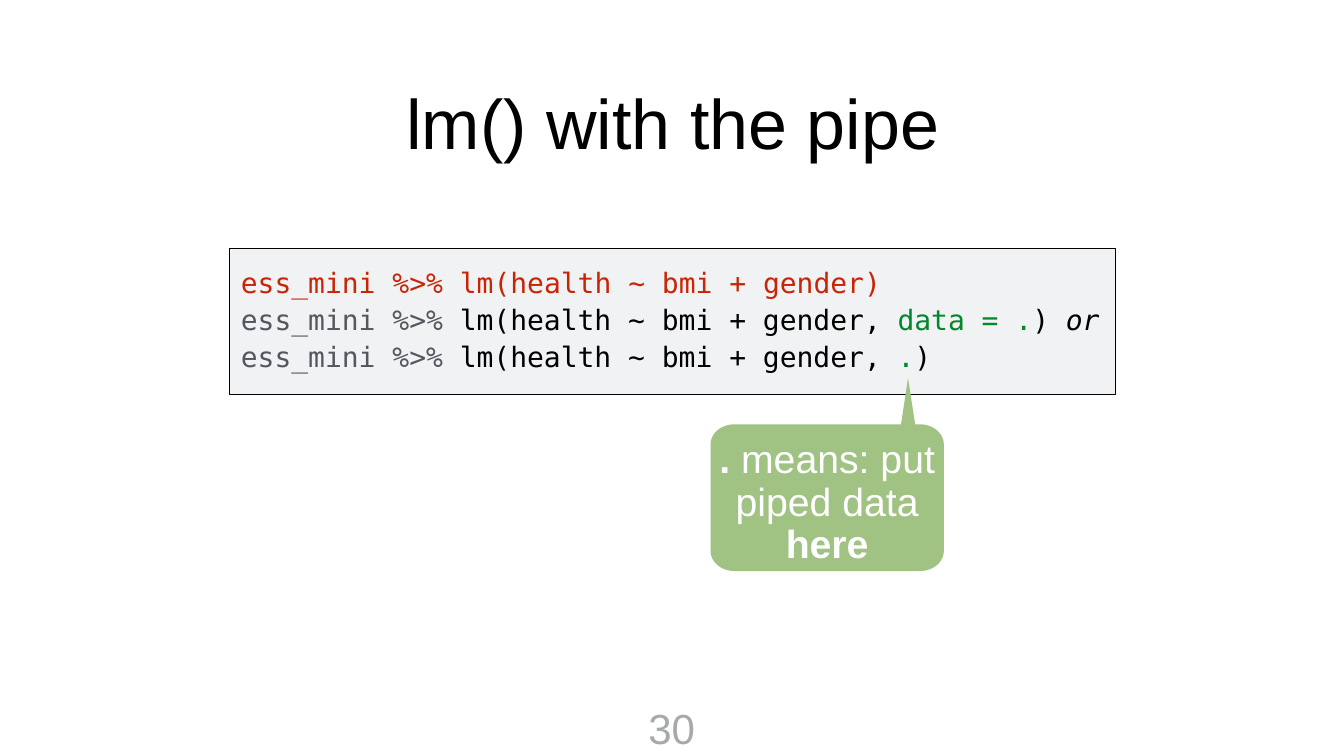
"""Build the slide that shows lm() used with the pipe."""
from dataclasses import dataclass
from math import cos, pi, sin

from pptx import Presentation
from pptx.dml.color import RGBColor
from pptx.enum.shapes import MSO_SHAPE
from pptx.enum.text import MSO_ANCHOR, PP_ALIGN
from pptx.util import Inches, Pt

LEFT, CENTER = PP_ALIGN.LEFT, PP_ALIGN.CENTER
TOP, MIDDLE, BOTTOM = MSO_ANCHOR.TOP, MSO_ANCHOR.MIDDLE, MSO_ANCHOR.BOTTOM
RECTANGLE = MSO_SHAPE.RECTANGLE
COLORS = {
    "black": "000000", "white": "FFFFFF", "panel": "F0F2F4", "wrong": "C82506",
    "piped": "53585F", "argument": "00882B", "callout": "A0C283", "number": "A6AAA9",
}


@dataclass(frozen=True)
class Box:
    left: float
    top: float
    width: float
    height: float

    def lengths(self) -> list:
        return [Inches(value) for value in (self.left, self.top, self.width, self.height)]


@dataclass(frozen=True)
class Span:
    text: str
    color: str = "black"
    bold: bool = False
    italic: bool = False


PIPE = Span("ess_mini %>% ", "piped")
MODEL = Span("lm(health ~ bmi + gender, ")
CODE_LINES = [
    [Span("ess_mini %>% lm(health ~ bmi + gender)", "wrong")],
    [PIPE, MODEL, Span("data = .", "argument"), Span(") "), Span("or", italic=True)],
    [PIPE, MODEL, Span(".", "argument"), Span(")")],
]
CALLOUT_TEXT = [[
    Span(". ", "white", bold=True),
    Span("means: put piped data", "white"),
    Span(" here", "white", bold=True),
]]


def rgb(name: str) -> RGBColor:
    return RGBColor.from_string(COLORS[name])


def write_text(shape, lines: list[list[Span]], *, size: float, font: str = "Arial",
               align=CENTER, anchor=TOP, margin: float = 0.08, spacing: float = 1.0,
               gap: float = 0, wrap: bool = True) -> None:
    frame = shape.text_frame
    frame.word_wrap = wrap
    frame.vertical_anchor = anchor
    frame.margin_left = frame.margin_right = Inches(margin)
    frame.margin_top = frame.margin_bottom = Inches(margin)
    for index, spans in enumerate(lines):
        paragraph = frame.add_paragraph() if index else frame.paragraphs[0]
        paragraph.alignment = align
        paragraph.line_spacing = spacing
        if index and gap:
            paragraph.space_before = Pt(gap)
        for span in spans:
            run = paragraph.add_run()
            run.text = span.text
            run.font.name = font
            run.font.size = Pt(size)
            run.font.bold = span.bold
            run.font.italic = span.italic
            run.font.color.rgb = rgb(span.color)


def add_text(slide, box: Box, lines: list[list[Span]], **text_format) -> None:
    write_text(slide.shapes.add_textbox(*box.lengths()), lines, **text_format)


def add_panel(slide, box: Box) -> None:
    shape = slide.shapes.add_shape(RECTANGLE, *box.lengths())
    shape.shadow.inherit = False
    shape.fill.solid()
    shape.fill.fore_color.rgb = rgb("panel")
    shape.line.color.rgb = rgb("black")
    shape.line.width = Pt(1)


def add_callout(slide, body: Box, tip: tuple[float, float], base: tuple[float, float],
                radii: tuple[float, float], steps: int = 12):
    radius_x, radius_y = radii
    left, right = body.left + radius_x, body.left + body.width - radius_x
    top, bottom = body.top + radius_y, body.top + body.height - radius_y
    corners = [(left, top), (left, bottom), (right, bottom), (right, top)]
    points = [(base[0], body.top)]
    for corner, (center_x, center_y) in enumerate(corners):
        for step in range(steps + 1):
            angle = pi / 2 * (corner + 1 + step / steps)
            points.append((center_x + radius_x * cos(angle), center_y - radius_y * sin(angle)))
    points.append((base[1], body.top))
    builder = slide.shapes.build_freeform(Inches(tip[0]), Inches(tip[1]))
    builder.add_line_segments([(Inches(x), Inches(y)) for x, y in points], close=True)
    shape = builder.convert_to_shape()
    shape.shadow.inherit = False
    shape.fill.solid()
    shape.fill.fore_color.rgb = rgb("callout")
    shape.line.fill.background()
    return shape


def main() -> None:
    presentation = Presentation()
    presentation.slide_width, presentation.slide_height = Inches(26.67), Inches(15)
    slide = presentation.slides.add_slide(presentation.slide_layouts[6])
    add_text(slide, Box(4.4, 1.1, 17.9, 2.62), [[Span("lm() with the pipe")]],
             size=100, anchor=MIDDLE, margin=0.06)
    add_panel(slide, Box(4.56, 4.92, 17.57, 2.91))
    add_text(slide, Box(4.72, 5.33, 17.44, 2.17), CODE_LINES, size=40,
             font="DejaVu Sans Mono", align=LEFT, margin=0.06, spacing=0.8, gap=15)
    callout = add_callout(slide, Box(14.1, 8.42, 4.63, 2.91), tip=(18.02, 7.5),
                          base=(17.88, 18.16), radii=(0.47, 0.4))
    write_text(callout, CALLOUT_TEXT, size=56, anchor=BOTTOM, spacing=0.9)
    add_text(slide, Box(12.78, 13.85, 1.1, 1.16), [[Span("30", "number")]],
             size=60, wrap=False)
    presentation.save("out.pptx")


if __name__ == "__main__":
    main()
